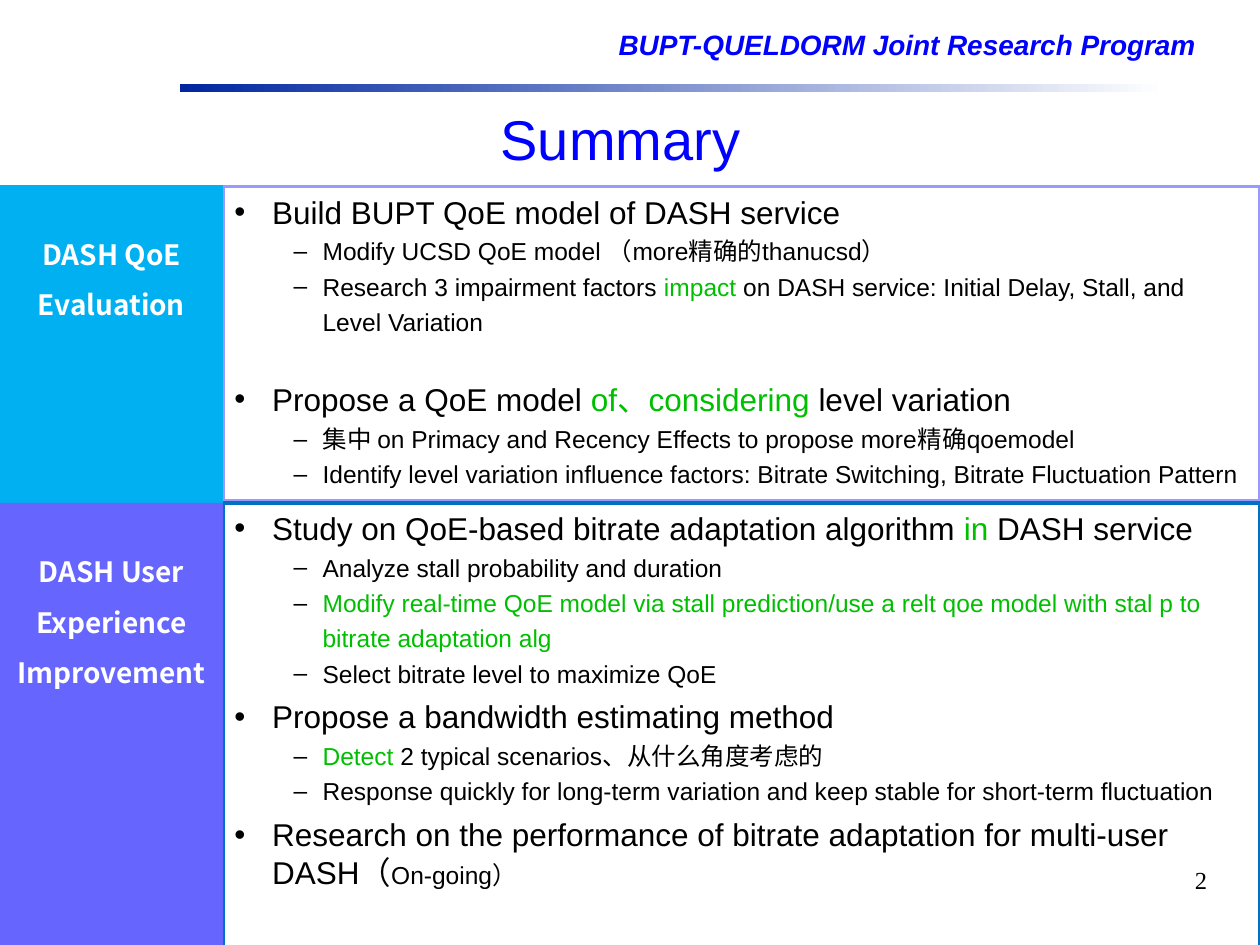
"""Build the summary slide of a research programme on DASH quality of experience."""
import dataclasses

import pptx
import pptx.dml.color
import pptx.enum.shapes
import pptx.enum.text
import pptx.oxml
import pptx.oxml.ns
import pptx.util


@dataclasses.dataclass(frozen=True)
class Theme:
    blue: str = "0000FF"
    navy: str = "00279F"
    ink: str = "000000"
    accent: str = "00BF00"
    white: str = "FFFFFF"
    cyan: str = "00B0F0"
    violet: str = "6666FF"
    lilac: str = "9999FF"
    steel: str = "0070C0"
    sans: str = "Arial"
    serif: str = "Times New Roman"
    asian: str = "Noto Sans CJK SC"
    title: int = 32
    topic: int = 18
    label: int = 16
    detail: int = 14


def write(para, text, size, color=Theme.ink, font=Theme.sans, bold=False, italic=False):
    """Add one formatted span to a paragraph."""
    span = para.add_run()
    span.text = text
    span.font.size = pptx.util.Pt(size)
    span.font.name = font
    span.font.bold = bold
    span.font.italic = italic
    span.font.color.rgb = pptx.dml.color.RGBColor.from_string(color)
    east = pptx.oxml.parse_xml(f'<a:ea {pptx.oxml.ns.nsdecls("a")} typeface="{Theme.asian}"/>')
    span.font._element.find(pptx.oxml.ns.qn("a:latin")).addnext(east)


def arrange(box, area, insets, wrap=True):
    """Place a box and set its text frame."""
    box.left, box.top, box.width, box.height = [pptx.util.Inches(length) for length in area]
    frame = box.text_frame
    frame.auto_size = pptx.enum.text.MSO_AUTO_SIZE.NONE
    frame.word_wrap = wrap
    frame.vertical_anchor = pptx.enum.text.MSO_ANCHOR.TOP
    frame.margin_left, frame.margin_top, frame.margin_right, frame.margin_bottom = [
        pptx.util.Inches(inset) for inset in insets]
    return frame


theme = Theme()
rgb = pptx.dml.color.RGBColor.from_string
align = pptx.enum.text.PP_ALIGN
rectangle = pptx.enum.shapes.MSO_SHAPE.RECTANGLE
page_width, page_height = 10, 7.5
label_column = 1.77
list_column = page_width - label_column
first_row, second_row = 1.48, 3.99

deck = pptx.Presentation()
deck.slide_width = pptx.util.Inches(page_width)
deck.slide_height = pptx.util.Inches(page_height)
page = deck.slides.add_slide(deck.slide_layouts[3])
title, first_list, second_list = [page.placeholders[index] for index in range(3)]

header = page.shapes.add_textbox(0, 0, 0, 0)
para = arrange(header, (4.75, 0.25, 5.17, 0.62), (0.16, 0, 0.1, 0)).paragraphs[0]
para.line_spacing = 0.9
write(para, "BUPT-QUELDORM Joint Research Program", theme.label, theme.blue, bold=True, italic=True)

rule = page.shapes.add_shape(rectangle, *[pptx.util.Inches(length) for length in (1.43, 0.67, 7.82, 0.06)])
rule.shadow.inherit = False
rule.line.fill.background()
rule.fill.gradient()
rule.fill.gradient_angle = 0
for stop, color in zip(rule.fill.gradient_stops, (theme.navy, theme.white)):
    stop.color.rgb = rgb(color)

frame = arrange(title, (3.9, 0.88, 2.05, 0.51), (0.07, 0.03, 0.07, 0.03), wrap=False)
frame.vertical_anchor = pptx.enum.text.MSO_ANCHOR.MIDDLE
para = frame.paragraphs[0]
para.alignment = align.CENTER
para.line_spacing = 0.85
write(para, "Summary", theme.title, theme.blue)

topic, detail = (theme.topic, theme.ink), (theme.detail, theme.ink)
topic_accent, detail_accent = (theme.topic, theme.accent), (theme.detail, theme.accent)
topic_gap, section_gap = 5.4, 25

evaluation = [
    (0, 0, [("Build BUPT QoE model of DASH service", topic)]),
    (1, 0, [("Modify UCSD QoE model （more精确的thanucsd）", detail)]),
    (1, 0, [("Research 3 impairment factors ", detail), ("impact", detail_accent),
            (" on DASH service: Initial Delay, Stall, and Level Variation", detail)]),
    (0, section_gap, [("Propose a QoE model ", topic), ("of、considering ", topic_accent),
                      ("level variation", topic)]),
    (1, 0, [("集中 on Primacy and Recency Effects to propose more精确qoemodel", detail)]),
    (1, 0, [("Identify level variation influence factors: Bitrate Switching, "
             "Bitrate Fluctuation Pattern", detail)]),
]
improvement = [
    (0, 0, [("Study on QoE-based bitrate adaptation algorithm ", topic), ("in", topic_accent),
            (" DASH service", topic)]),
    (1, 0, [("Analyze stall probability and duration", detail)]),
    (1, 0, [("Modify real-time QoE model via stall prediction/use a relt qoe model "
             "with stal p to bitrate adaptation alg", detail_accent)]),
    (1, 0, [("Select bitrate level to maximize QoE", detail)]),
    (0, topic_gap, [("Propose a bandwidth estimating method", topic)]),
    (1, 0, [("Detect ", detail_accent), ("2 typical scenarios、从什么角度考虑的", detail)]),
    (1, 0, [("Response quickly for long-term variation and keep stable for "
             "short-term fluctuation", detail)]),
    (0, topic_gap, [("Research on the performance of bitrate adaptation for multi-user DASH（", topic),
                    ("On-going）", detail)]),
]
bullets = [("•", 0.3, -0.3, 1), ("–", 0.7, -0.23, 1.2)]

for box, top, height, color, weight, items in (
        (first_list, first_row, 2.5, theme.lilac, 2.25, evaluation),
        (second_list, second_row, 3.62, theme.steel, 2, improvement)):
    frame = arrange(box, (label_column, top, list_column, height), (0.09, 0.05, 0.09, 0.05))
    box.line.color.rgb = rgb(color)
    box.line.width = pptx.util.Pt(weight)
    for number, (level, gap, spans) in enumerate(items):
        para = frame.add_paragraph() if number else frame.paragraphs[0]
        mark, margin, indent, spacing = bullets[level]
        para.level = level
        para.line_spacing = spacing
        para.space_before = pptx.util.Pt(gap)
        properties = para._p.get_or_add_pPr()
        properties.set("marL", str(pptx.util.Inches(margin)))
        properties.set("indent", str(pptx.util.Inches(indent)))
        for xml in (f'<a:buClr {pptx.oxml.ns.nsdecls("a")}><a:srgbClr val="{theme.ink}"/></a:buClr>',
                    f'<a:buChar {pptx.oxml.ns.nsdecls("a")} char="{mark}"/>'):
            properties.append(pptx.oxml.parse_xml(xml))
        for text, (size, ink) in spans:
            write(para, text, size, ink)

number_box = page.shapes.add_textbox(0, 0, 0, 0)
para = arrange(number_box, (7.6, 6.82, 2.08, 0.5), (0.1, 0.05, 0.1, 0.05)).paragraphs[0]
para.alignment = align.RIGHT
write(para, "2", theme.detail, font=theme.serif)

for text, top, height, color in (
        ("DASH QoE Evaluation", 1.47, 2.61, theme.cyan),
        ("DASH User Experience Improvement", second_row, page_height - second_row, theme.violet)):
    label = page.shapes.add_shape(rectangle, 0, 0, 0, 0)
    label.shadow.inherit = False
    label.fill.solid()
    label.fill.fore_color.rgb = rgb(color)
    label.line.fill.background()
    para = arrange(label, (0, top, label_column, height), (0.11, 0.28, 0.11, 0.06)).paragraphs[0]
    para.alignment = align.CENTER
    para.line_spacing = 1.5
    write(para, text, theme.label, theme.white, theme.asian, bold=True)

deck.save("out.pptx")
